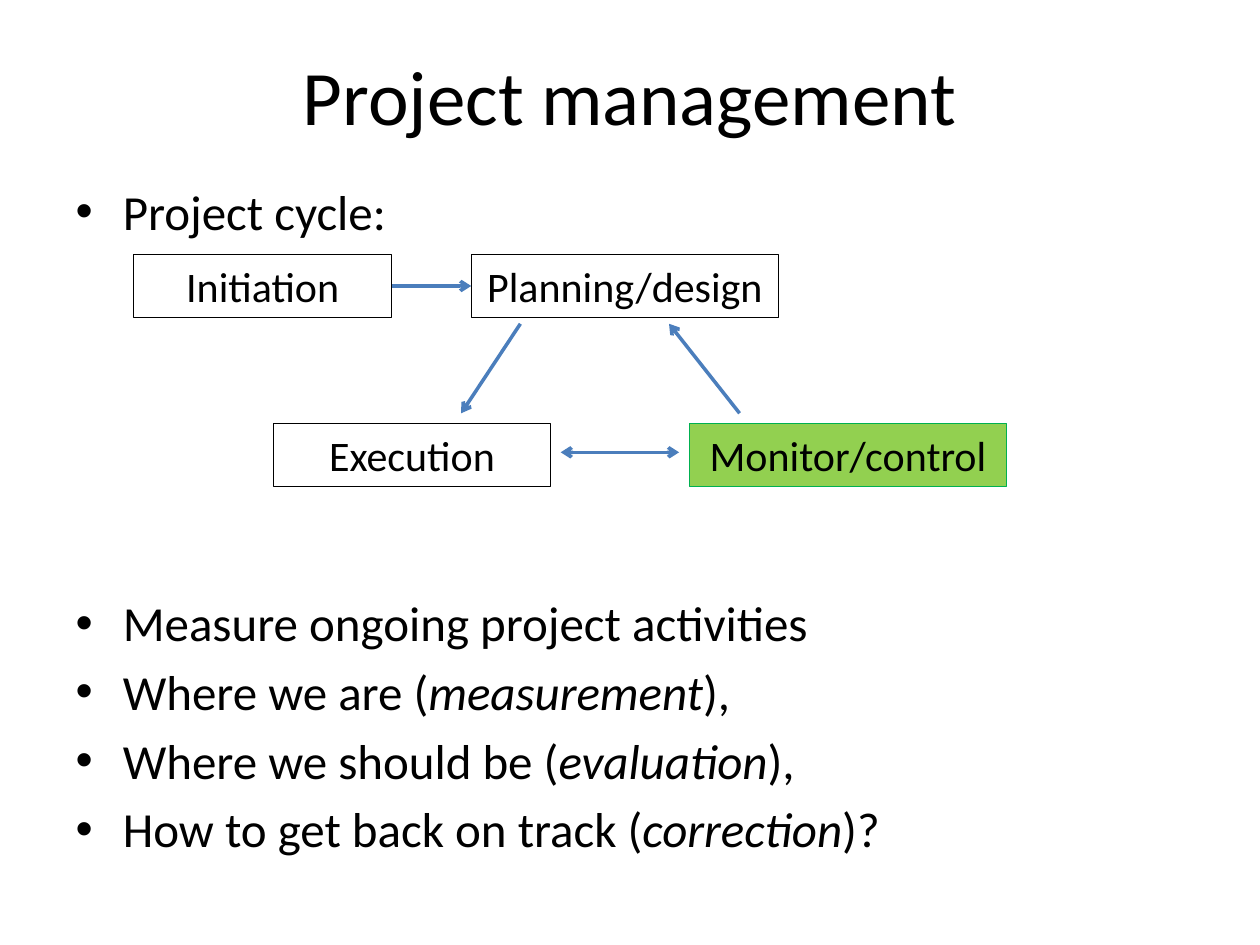
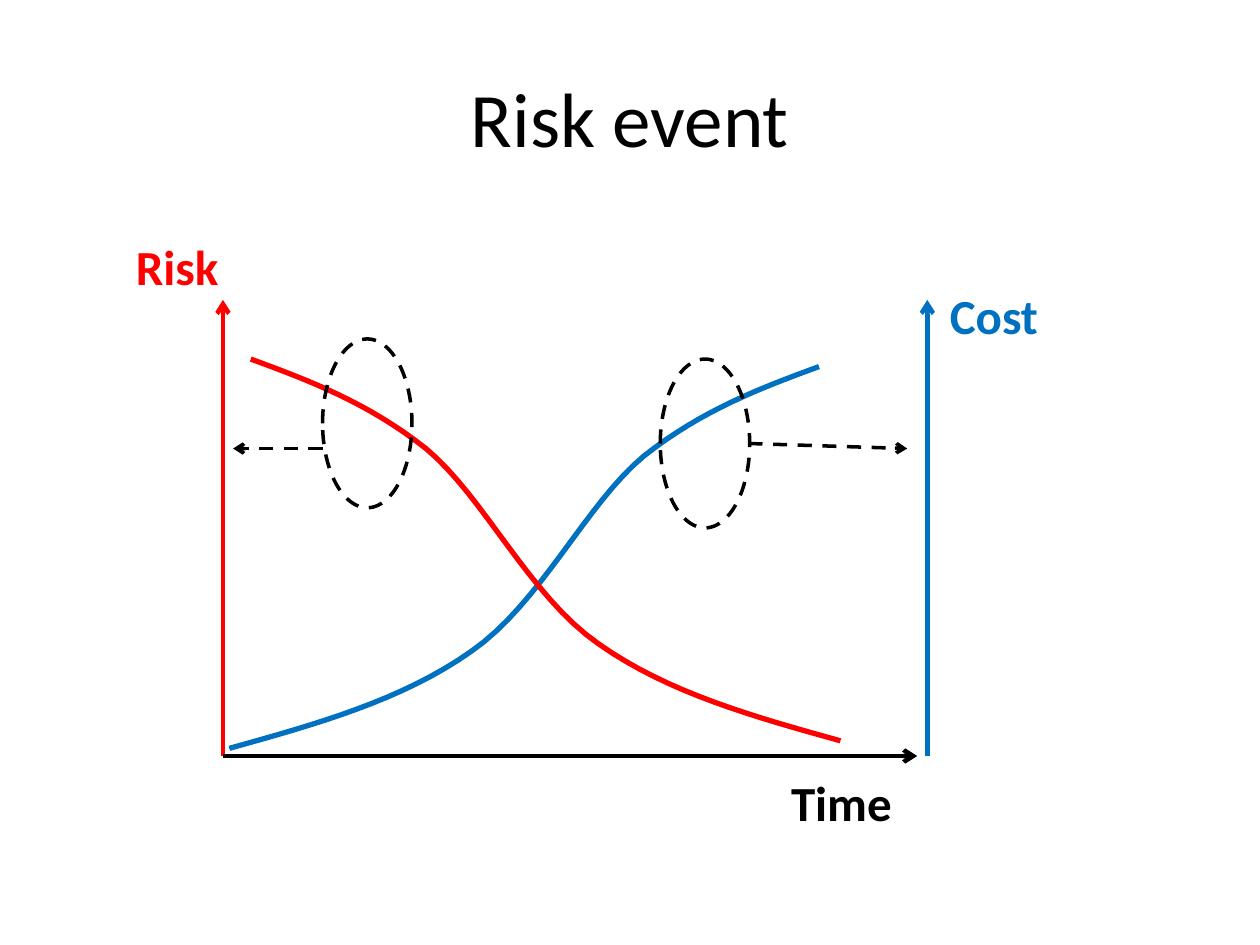
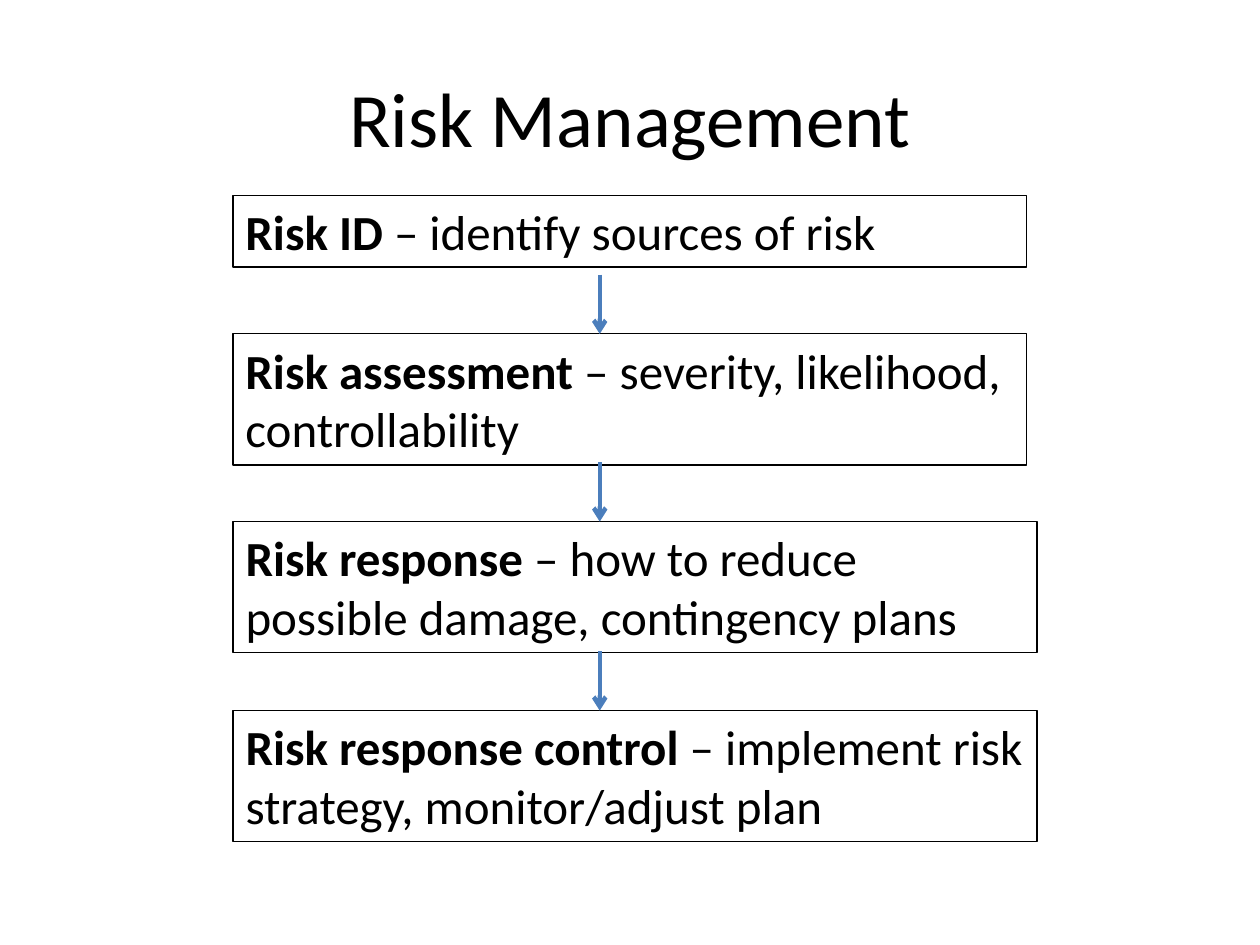
from lxml import etree
from pptx import Presentation
from pptx.dml.color import RGBColor
from pptx.enum.dml import MSO_LINE
from pptx.enum.shapes import MSO_CONNECTOR, MSO_SHAPE
from pptx.enum.text import MSO_ANCHOR, MSO_AUTO_SIZE, PP_ALIGN
from pptx.oxml.ns import qn
from pptx.util import Inches, Pt

BLACK = RGBColor(0x00, 0x00, 0x00)
RED = RGBColor(0xFF, 0x00, 0x00)
BLUE = RGBColor(0x00, 0x70, 0xC0)
STEEL = RGBColor(0x4B, 0x7E, 0xBC)
LIME = RGBColor(0x92, 0xD0, 0x50)
GREEN = RGBColor(0x00, 0xB0, 0x50)
FONT = "Calibri"
WIDE, HIGH = 10, 7.5
MARGIN = 0.05 * WIDE
TITLE_TOP = 0.3

# Text between bars is emphasised.
POINTS = [
    "Project cycle:",
    "Measure ongoing project activities",
    "Where we are (|measurement|),",
    "Where we should be (|evaluation|),",
    "How to get back on track (|correction|)?",
]
CYCLE_GAP = 201.5  # points left for the diagram below the first item

ROWS, STAGE_HIGH = (2.02, 3.36), 0.5
STAGES = {  # name: row, left, width, fill, line
    "Initiation": (0, 1.06, 2.05, None, BLACK),
    "Planning/design": (0, 3.74, 2.44, None, BLACK),
    "Execution": (1, 2.17, 2.2, None, BLACK),
    "Monitor/control": (1, 5.47, 2.52, LIME, GREEN),
}
FLOWS = [  # start, end, arrow at both ends
    ((4.13, 2.57), (3.66, 3.28), False),
    ((5.87, 3.28), (5.31, 2.57), False),
    ((4.45, 3.59), (5.39, 3.59), True),
]

BASE, PEAK = 6, 2.38
AXES = [
    ((1.77, BASE), (1.77, PEAK), RED),
    ((1.77, BASE), (7.28, BASE), BLACK),
    ((7.36, BASE), (7.36, PEAK), BLUE),
]
LABELS = [
    ("Cost", (7.44, 2.22, 2.44, 0.57), BLUE),
    ("Time", (6.18, 6.08, 1.26, 0.57), BLACK),
    ("Risk", (0.98, 1.83, 1.18, 0.57), RED),
]
COST = [  # Bezier points: one start, then three for each part
    (1.82, 5.94), (2.5, 5.75), (3.19, 5.56), (3.74, 5.17), (4.29, 4.79),
    (4.65, 4), (5.11, 3.62), (5.58, 3.25), (6.04, 3.08), (6.5, 2.91),
]
RISK = [(8.49 - x, y - 0.06) for x, y in COST]
RINGS = [  # left, top, pointer start, pointer end
    (2.56, 2.69, (2.56, 3.56), (1.85, 3.56)),
    (5.24, 2.85, (5.94, 3.52), (7.2, 3.56)),
]

STEPS = [  # text, top, width, height
    ("|Risk ID |– identify sources of risk", 1.55, 6.3, 0.57),
    ("|Risk assessment |– severity, likelihood, controllability", 2.65, 6.3, 1.04),
    ("|Risk response |– how to reduce possible damage, contingency plans",
     4.14, 6.38, 1.04),
    ("|Risk response control |– implement risk strategy, monitor/adjust plan",
     5.64, 6.38, 1.04),
]
STEP_LEFT, DROP_X, DROP = 1.85, 4.76, 0.47


def inch(*nums):
    return [Inches(n) for n in nums]


def write(frame, *paras, size=28, color=BLACK, align=None, bold=None, mark="bold"):
    """Fill a text frame; parts between bars get the font trait named by mark."""
    frame.word_wrap = True
    for row, text in enumerate(paras):
        para = frame.paragraphs[0] if row == 0 else frame.add_paragraph()
        para.alignment = align
        for spot, part in enumerate(text.split("|")):
            if not part:
                continue
            run = para.add_run()
            run.text = part
            font = run.font
            font.name, font.size, font.bold = FONT, Pt(size), bold
            font.color.rgb = color
            if spot % 2:
                setattr(font, mark, True)


def style(shape, color, width, fill=None, dash=None):
    shape.shadow.inherit = False
    if fill is None:
        shape.fill.background()
    else:
        shape.fill.solid()
        shape.fill.fore_color.rgb = fill
    stroke(shape.line, color, width, dash)


def stroke(line, color, width, dash=None):
    line.color.rgb = color
    line.width = Pt(width)
    if dash:
        line.dash_style = dash


def new_slide(deck, layout, title, top=TITLE_TOP):
    slide = deck.slides.add_slide(deck.slide_layouts[layout])
    head = slide.shapes.title
    head.left, head.top, head.width, head.height = inch(
        MARGIN, top, WIDE - 2 * MARGIN, 1.25)
    head.text_frame.vertical_anchor = MSO_ANCHOR.MIDDLE
    write(head.text_frame, title, size=44, align=PP_ALIGN.CENTER)
    return slide


def box(slide, text, place, color=BLACK, fill=None, **form):
    shape = slide.shapes.add_shape(MSO_SHAPE.RECTANGLE, *inch(*place))
    style(shape, color, 0.75, fill)
    frame = shape.text_frame
    frame.vertical_anchor = MSO_ANCHOR.TOP
    frame.auto_size = MSO_AUTO_SIZE.SHAPE_TO_FIT_TEXT
    write(frame, text, **({"align": PP_ALIGN.LEFT} | form))
    return shape


def arrow(slide, start, end, color=STEEL, width=2.5, dash=None, both=False):
    link = slide.shapes.add_connector(
        MSO_CONNECTOR.STRAIGHT, *inch(*start, *end))
    stroke(link.line, color, width, dash)
    props = link._element.spPr
    for tag in ["a:headEnd"] * both + ["a:tailEnd"]:
        etree.SubElement(props.find(qn("a:ln")), qn(tag), type="arrow")
    etree.SubElement(props, qn("a:effectLst"))
    return link


def trace(knots, count=16):
    """Return points along a chain of cubic Bezier parts."""
    spots = [knots[0]]
    for first in range(0, len(knots) - 1, 3):
        part = knots[first:first + 4]
        for step in range(1, count + 1):
            t = step / count
            s = 1 - t
            rates = (s ** 3, 3 * s * s * t, 3 * s * t * t, t ** 3)
            spots.append(tuple(
                sum(r * knot[axis] for r, knot in zip(rates, part))
                for axis in (0, 1)))
    return spots


def curve(slide, knots, color):
    start, *rest = [inch(*spot) for spot in trace(knots)]
    pen = slide.shapes.build_freeform(*start)
    pen.add_line_segments(rest, close=False)
    style(pen.convert_to_shape(), color, 3)


def cycle_slide(deck):
    slide = new_slide(deck, 1, "Project management", top=0.13)
    body = slide.placeholders[1]
    body.left, body.top, body.width, body.height = inch(
        MARGIN, 1.39, WIDE - 2 * MARGIN, 0.66 * HIGH)
    frame = body.text_frame
    frame.auto_size = MSO_AUTO_SIZE.NONE
    write(frame, *POINTS, mark="italic")
    frame.paragraphs[1].space_before = Pt(CYCLE_GAP)

    boxes = {}
    for name, (row, left, width, fill, color) in STAGES.items():
        boxes[name] = box(slide, name, (left, ROWS[row], width, STAGE_HIGH),
                          color, fill, size=24, align=PP_ALIGN.CENTER)
    link = arrow(slide, (3.11, 2.27), (3.74, 2.27), width=2)
    link.begin_connect(boxes["Initiation"], 3)
    link.end_connect(boxes["Planning/design"], 1)
    for start, end, both in FLOWS:
        arrow(slide, start, end, width=2, both=both)


def event_slide(deck):
    slide = new_slide(deck, 5, "Risk event")
    for start, end, color in AXES:
        arrow(slide, start, end, color)
    curve(slide, COST, BLUE)
    curve(slide, RISK, RED)
    for text, place, color in LABELS:
        label = slide.shapes.add_textbox(*inch(*place))
        label.text_frame.auto_size = MSO_AUTO_SIZE.SHAPE_TO_FIT_TEXT
        write(label.text_frame, text, color=color, bold=True)
    for left, top, start, end in RINGS:
        ring = slide.shapes.add_shape(
            MSO_SHAPE.OVAL, *inch(left, top, 0.71, 1.34))
        style(ring, BLACK, 2, dash=MSO_LINE.DASH)
        arrow(slide, start, end, BLACK, 2, MSO_LINE.DASH)


def steps_slide(deck):
    slide = new_slide(deck, 5, "Risk Management")
    for text, top, width, height in STEPS:
        box(slide, text, (STEP_LEFT, top, width, height))
    for _, top, _, _ in STEPS[1:]:
        arrow(slide, (DROP_X, top - DROP), (DROP_X, top))


def main():
    deck = Presentation()
    deck.slide_width, deck.slide_height = inch(WIDE, HIGH)
    cycle_slide(deck)
    event_slide(deck)
    steps_slide(deck)
    deck.save("out.pptx")


if __name__ == "__main__":
    main()
